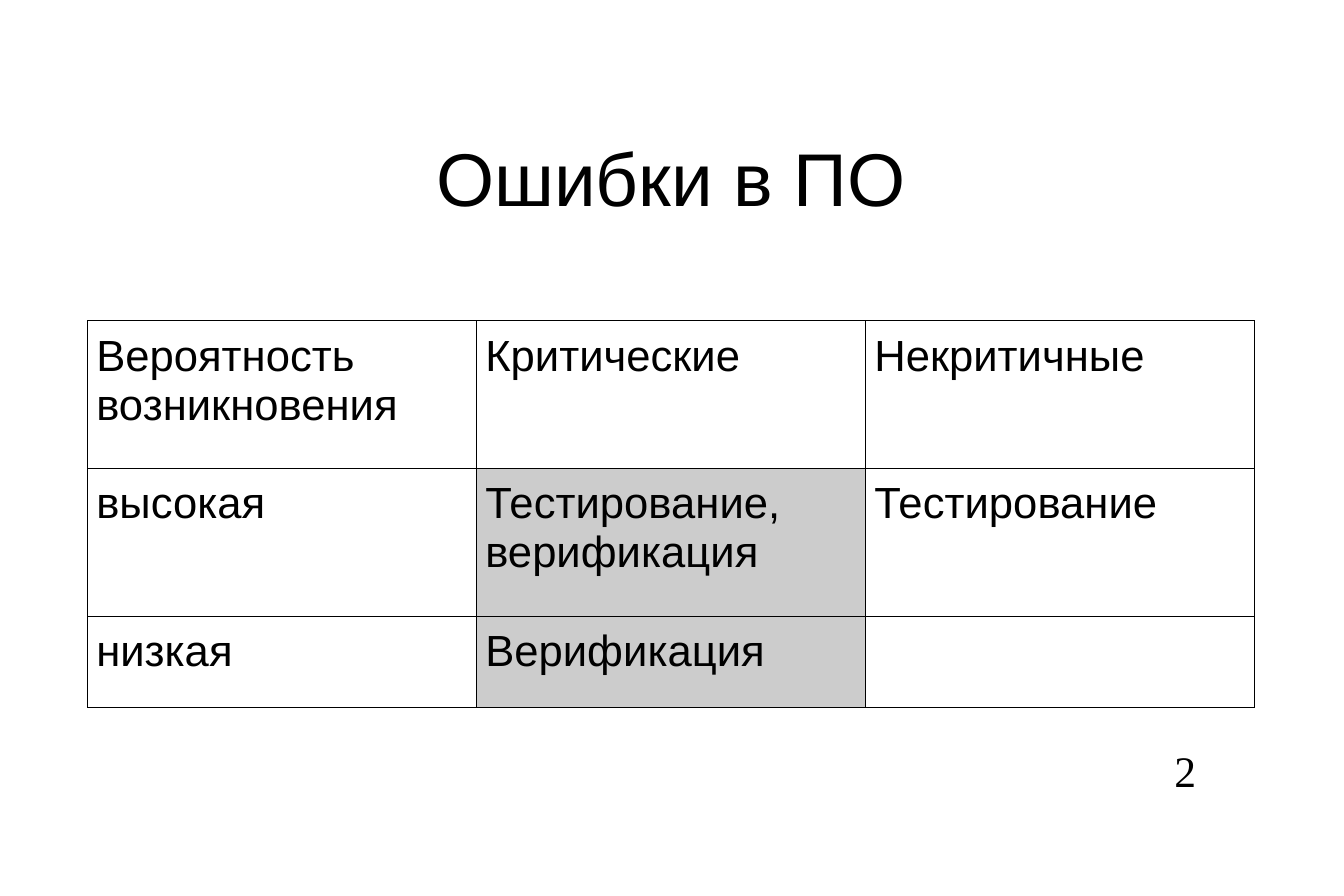
from lxml import etree
from pptx import Presentation
from pptx.dml.color import RGBColor
from pptx.enum.text import MSO_ANCHOR, PP_ALIGN
from pptx.oxml.ns import qn
from pptx.util import Inches, Pt

CENTER, RIGHT = PP_ALIGN.CENTER, PP_ALIGN.RIGHT
TOP, MIDDLE = MSO_ANCHOR.TOP, MSO_ANCHOR.MIDDLE
BLACK, WHITE, GRAY = "000000", "FFFFFF", "CCCCCC"
BORDER_WIDTH = Pt(0.06)
COLUMN_WIDTH = 1.737
ROW_HEIGHTS = [0.66, 0.66, 0.39]
ERROR_ROWS = [
    ["Вероятность возникновения", "Критические", "Некритичные"],
    ["высокая", "Тестирование, верификация", "Тестирование"],
    ["низкая", "Верификация", ""],
]
VERIFIED_CELLS = {(1, 1), (2, 1)}


def color(value):
    return RGBColor.from_string(value)


def set_values(target, values):
    for name, value in values.items():
        setattr(target, name, value)


def write_text(frame, text, size, font="Arial"):
    para = frame.paragraphs[0]
    span = para.add_run()
    span.text = text
    set_values(span.font, {"size": Pt(size), "name": font})
    span.font.color.rgb = color(BLACK)
    return para


def add_text(page, place, text, size, font, align, anchor):
    box = page.shapes.add_textbox(*map(Inches, place))
    frame = box.text_frame
    set_values(frame, {
        "word_wrap": True, "vertical_anchor": anchor,
        "margin_left": 0, "margin_right": 0,
        "margin_top": 0, "margin_bottom": 0,
    })
    write_text(frame, text, size, font).alignment = align


def add_borders(cell):
    properties = cell._tc.get_or_add_tcPr()
    for position, side in enumerate(["lnL", "lnR", "lnT", "lnB"]):
        line = etree.Element(qn(f"a:{side}"), w=str(int(BORDER_WIDTH)))
        fill = etree.SubElement(line, qn("a:solidFill"))
        etree.SubElement(fill, qn("a:srgbClr"), val=BLACK)
        properties.insert(position, line)


def fill_cell(cell, text, background):
    set_values(cell, {
        "margin_left": Inches(0.04), "margin_right": Inches(0.04),
        "margin_top": Inches(0.05), "margin_bottom": Inches(0.05),
    })
    cell.fill.solid()
    cell.fill.fore_color.rgb = color(background)
    add_borders(cell)
    if text:
        write_text(cell.text_frame, text, 14)


def add_error_table(page):
    columns = len(ERROR_ROWS[0])
    place = [0.39, 1.43, columns * COLUMN_WIDTH, sum(ROW_HEIGHTS)]
    table = page.shapes.add_table(
        len(ERROR_ROWS), columns, *map(Inches, place)).table
    set_values(table, {"first_row": False, "horz_banding": False})
    for column in table.columns:
        column.width = Inches(COLUMN_WIDTH)
    for row, height in zip(table.rows, ROW_HEIGHTS):
        row.height = Inches(height)
    for row, texts in enumerate(ERROR_ROWS):
        for column, text in enumerate(texts):
            background = GRAY if (row, column) in VERIFIED_CELLS else WHITE
            fill_cell(table.cell(row, column), text, background)


def main():
    deck = Presentation()
    set_values(deck, {"slide_width": Inches(6), "slide_height": Inches(4)})
    page = deck.slides.add_slide(deck.slide_layouts[6])
    add_error_table(page)
    add_text(page, [0.65, 0.57, 4.69, 0.44], "Ошибки в ПО",
             24, "Arial", CENTER, MIDDLE)
    add_text(page, [4.13, 3.32, 1.21, 0.22], "2",
             14, "Times New Roman", RIGHT, TOP)
    deck.save("out.pptx")


if __name__ == "__main__":
    main()
